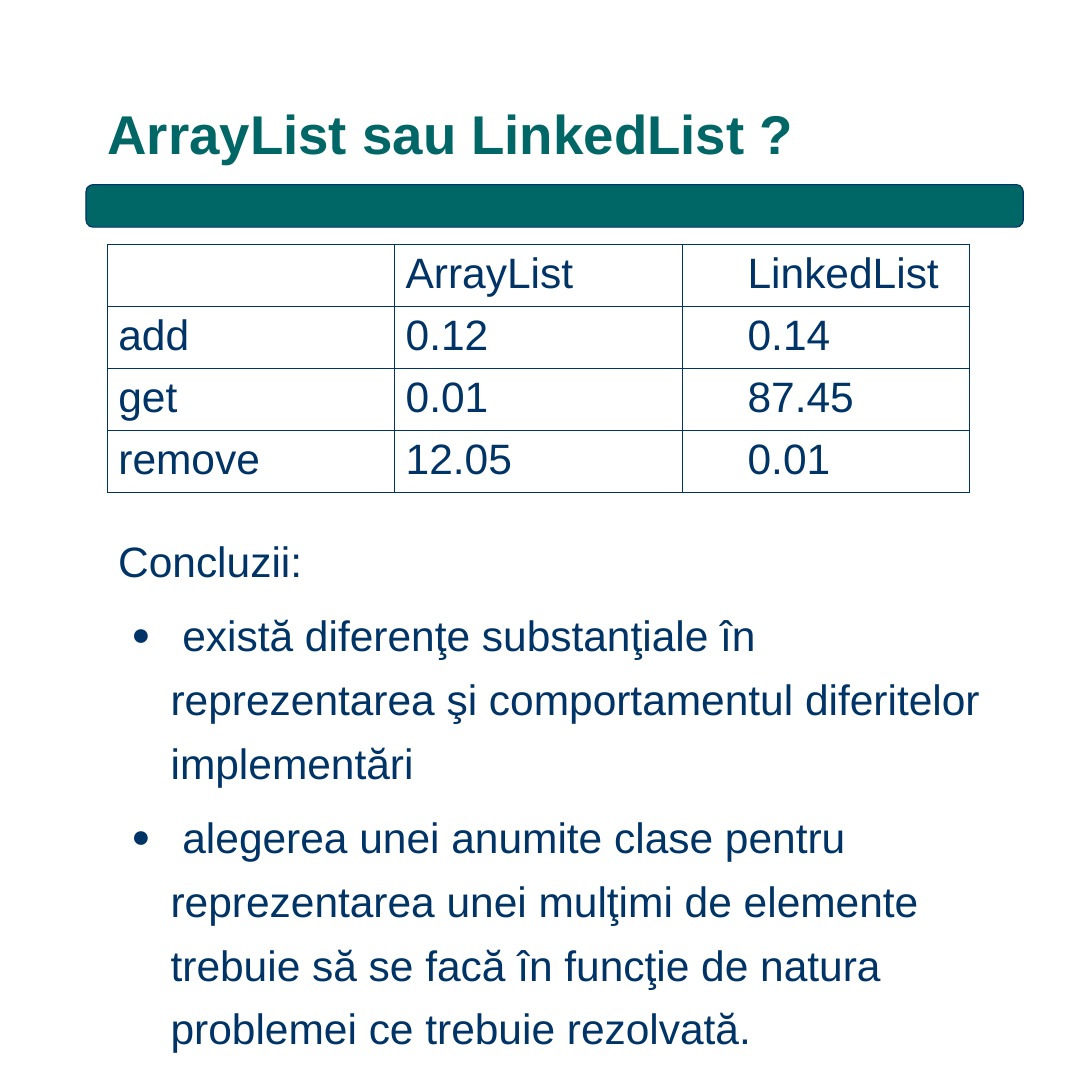
from pptx import Presentation
from pptx.dml.color import RGBColor
from pptx.enum.shapes import MSO_SHAPE
from pptx.enum.text import MSO_ANCHOR
from pptx.oxml import parse_xml
from pptx.oxml.ns import nsdecls
from pptx.util import Inches, Pt

WIDE, HIGH = 9.84, 10
TEAL, NAVY = "006666", "003366"
TIMES = [
    ["", "ArrayList", "LinkedList"],
    ["add", "0.12", "0.14"],
    ["get", "0.01", "87.45"],
    ["remove", "12.05", "0.01"],
]
POINTS = [
    " există diferenţe substanţiale în reprezentarea şi comportamentul "
    "diferitelor implementări",
    " alegerea unei anumite clase pentru reprezentarea unei mulţimi de "
    "elemente trebuie să se facă în funcţie de natura problemei ce trebuie "
    "rezolvată.",
]


def color(code):
    return RGBColor.from_string(code)


def element(tag, body, attrs=""):
    return parse_xml(f"<a:{tag} {nsdecls('a')} {attrs}>{body}</a:{tag}>")


def write(para, text, size=28, code=NAVY, bold=False):
    run = para.add_run()
    run.text = text
    font = run.font
    font.name, font.size, font.bold = "Arial", Pt(size), bold
    font.color.rgb = color(code)


def indent(para, left, first=0):
    props = para._p.get_or_add_pPr()
    props.set("marL", str(Inches(left)))
    props.set("indent", str(Inches(first)))
    return props


def add_box(slide, box):
    frame = slide.shapes.add_textbox(*map(Inches, box)).text_frame
    frame.word_wrap = True
    return frame


def add_title(slide, box, text):
    frame = add_box(slide, box)
    frame.vertical_anchor = MSO_ANCHOR.BOTTOM
    para = frame.paragraphs[0]
    para.line_spacing = 0.9
    write(para, text, 36, TEAL, True)


def add_bar(slide, box):
    bar = slide.shapes.add_shape(MSO_SHAPE.ROUNDED_RECTANGLE, *map(Inches, box))
    bar.shadow.inherit = False
    bar.fill.solid()
    bar.fill.fore_color.rgb = color(TEAL)
    bar.line.color.rgb = color(NAVY)
    bar.line.width = Pt(0.75)


def add_edges(cell, outer):
    """Draw the four borders, thicker on the sides named in outer."""
    props = cell._tc.get_or_add_tcPr()
    fill = f'<a:solidFill><a:srgbClr val="{NAVY}"/></a:solidFill>'
    for spot, side in enumerate("LRTB"):
        width = Pt(1.08 if side in outer else 0.45)
        props.insert(spot, element(f"ln{side}", fill, f'w="{width}"'))


def add_times(slide, box, rows):
    last, end = len(rows) - 1, len(rows[0]) - 1
    frame = slide.shapes.add_table(last + 1, end + 1, *map(Inches, box))
    table = frame.table
    table.first_row = table.horz_banding = False
    for r, row in enumerate(rows):
        for c, text in enumerate(row):
            cell = table.cell(r, c)
            cell.fill.background()
            para = cell.text_frame.paragraphs[0]
            if c == end:
                indent(para, 0.5)
            if text:
                write(para, text)
            sides = {"L": c == 0, "R": c == end, "T": r == 0, "B": r == last}
            add_edges(cell, [side for side, on in sides.items() if on])


def add_notes(slide, box, head, points):
    frame = add_box(slide, box)
    frame.margin_top = Inches(0.1)
    write(frame.paragraphs[0], head)
    for text in points:
        para = frame.add_paragraph()
        para.line_spacing = 1.25
        para.space_before = Pt(7)
        props = indent(para, 0.48, -0.36)
        props.append(element("buClr", f'<a:srgbClr val="{NAVY}"/>'))
        props.append(element("buSzPct", "", 'val="75000"'))
        props.append(element("buFont", "", 'typeface="Arial"'))
        props.append(element("buChar", "", 'char="●"'))
        write(para, text)


def main():
    deck = Presentation()
    deck.slide_width, deck.slide_height = Inches(WIDE), Inches(HIGH)
    slide = deck.slides.add_slide(deck.slide_layouts[6])
    left = WIDE * 0.1
    add_bar(slide, (WIDE * 0.08, HIGH * 0.169, 8.58, 0.39))
    add_title(slide, (WIDE * 0.09, HIGH * 0.011, 8.32, 1.46),
              "ArrayList sau LinkedList ?")
    add_notes(slide, (left, HIGH * 0.48, 8.43, HIGH * 0.52),
              "Concluzii:", POINTS)
    add_times(slide, (left, HIGH * 0.224, 7.89, 2.27), TIMES)
    deck.save("out.pptx")


if __name__ == "__main__":
    main()
